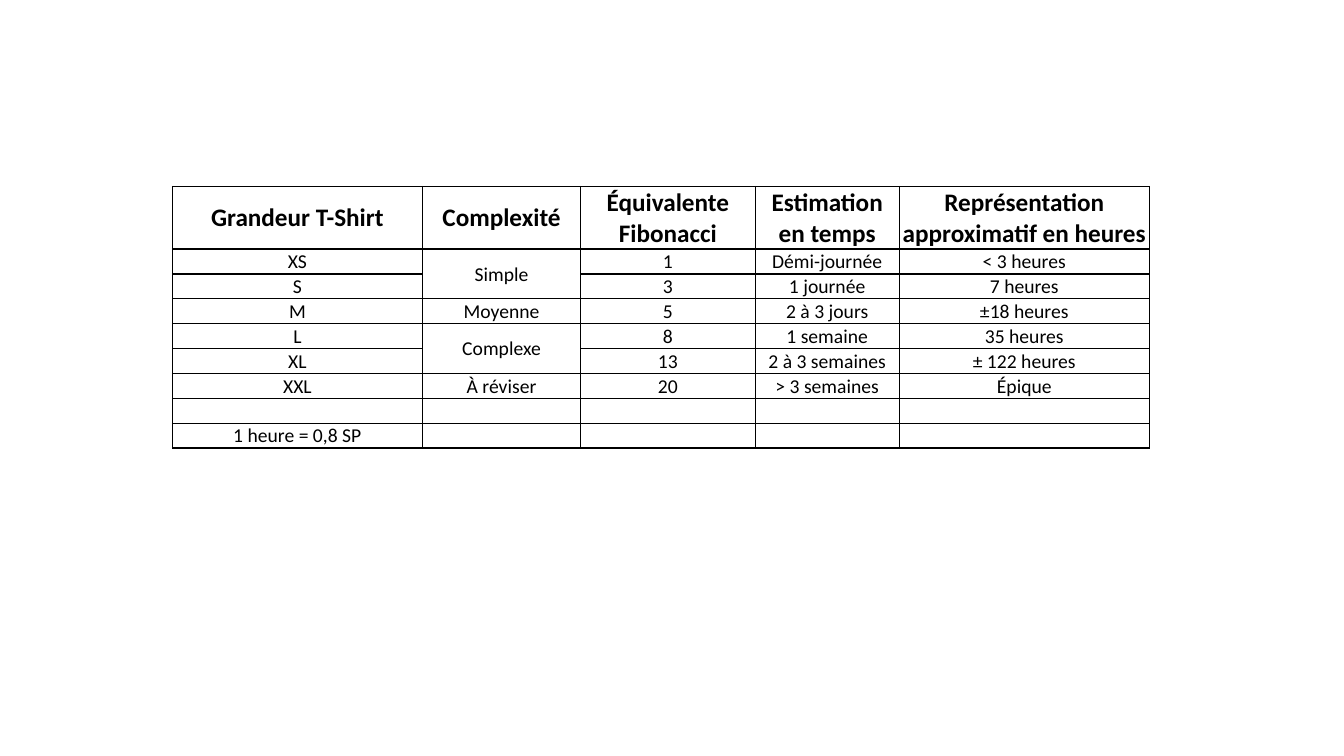
from lxml.etree import SubElement
from pptx import Presentation
from pptx.dml.color import RGBColor
from pptx.enum.text import MSO_ANCHOR, PP_ALIGN
from pptx.oxml import parse_xml
from pptx.oxml.ns import nsdecls, qn
from pptx.util import Pt

EMU_PER_PX = 9144
BLACK = RGBColor(0x00, 0x00, 0x00)
FONT_NAME = "Calibri"

COLUMN_WIDTHS = [248, 157, 173, 143, 248]
HEADER_HEIGHT = 62
BODY_HEIGHT = 24
HEADER_FORMAT = {"name": FONT_NAME, "size": Pt(18), "bold": True}
BODY_FORMAT = {"name": FONT_NAME, "size": Pt(14), "bold": False}
CELL_FORMAT = {
    "margin_left": EMU_PER_PX,
    "margin_right": EMU_PER_PX,
    "margin_top": EMU_PER_PX,
    "margin_bottom": 0,
    "vertical_anchor": MSO_ANCHOR.MIDDLE,
}

ESTIMATES = [
    ["Grandeur T-Shirt", "Complexité", "Équivalente Fibonacci",
     "Estimation en temps", "Représentation approximatif en heures"],
    ["XS", "Simple", "1", "Démi-journée", "< 3 heures"],
    ["S", "", "3", "1 journée", "7 heures"],
    ["M", "Moyenne", "5", "2 à 3 jours", "±18 heures"],
    ["L", "Complexe", "8", "1 semaine", "35 heures"],
    ["XL", "", "13", "2 à 3 semaines", "± 122 heures"],
    ["XXL", "À réviser", "20", "> 3 semaines", "Épique"],
    ["", "", "", "", ""],
    ["1 heure = 0,8 SP", "", "", "", ""],
]
COMPLEXITY_COLUMN = 1
MERGED_ROWS = [(1, 2), (4, 5)]


def px(length):
    return length * EMU_PER_PX


def set_attributes(target, values):
    for name, value in values.items():
        setattr(target, name, value)


def add_borders(cell):
    properties = cell._tc.get_or_add_tcPr()
    for index, side in enumerate(["lnL", "lnR", "lnT", "lnB"]):
        properties.insert(index, parse_xml(
            f'<a:{side} {nsdecls("a")} w="{Pt(1)}"><a:solidFill>'
            f'<a:srgbClr val="{BLACK}"/></a:solidFill></a:{side}>'))


def write_cell(cell, text, font_format):
    """Fill in one cell; an empty one keeps its text size so its row stays low."""
    set_attributes(cell, CELL_FORMAT)
    cell.fill.background()
    add_borders(cell)
    paragraph = cell.text_frame.paragraphs[0]
    paragraph.alignment = PP_ALIGN.CENTER
    if text:
        run = paragraph.add_run()
        run.text = text
        set_attributes(run.font, font_format)
        run.font.color.rgb = BLACK
    else:
        size = int(font_format["size"].pt * 100)
        SubElement(paragraph._p, qn("a:endParaRPr"), sz=str(size))


def add_estimate_table(slide, left, top):
    row_heights = [HEADER_HEIGHT] + [BODY_HEIGHT] * (len(ESTIMATES) - 1)
    table = slide.shapes.add_table(
        len(row_heights), len(COLUMN_WIDTHS), px(left), px(top),
        px(sum(COLUMN_WIDTHS)), px(sum(row_heights))).table
    set_attributes(table, {"first_row": False, "horz_banding": False})
    for column, width in zip(table.columns, COLUMN_WIDTHS):
        column.width = px(width)
    for row_index, (row, height) in enumerate(zip(table.rows, row_heights)):
        row.height = px(height)
        font_format = BODY_FORMAT if row_index else HEADER_FORMAT
        for cell, text in zip(row.cells, ESTIMATES[row_index]):
            write_cell(cell, text, font_format)
    for first, last in MERGED_ROWS:
        table.cell(first, COMPLEXITY_COLUMN).merge(
            table.cell(last, COMPLEXITY_COLUMN))


def main():
    presentation = Presentation()
    presentation.slide_width = px(1333)
    presentation.slide_height = px(750)
    slide = presentation.slides.add_slide(presentation.slide_layouts[6])
    add_estimate_table(slide, 171, 185)
    presentation.save("out.pptx")


if __name__ == "__main__":
    main()
